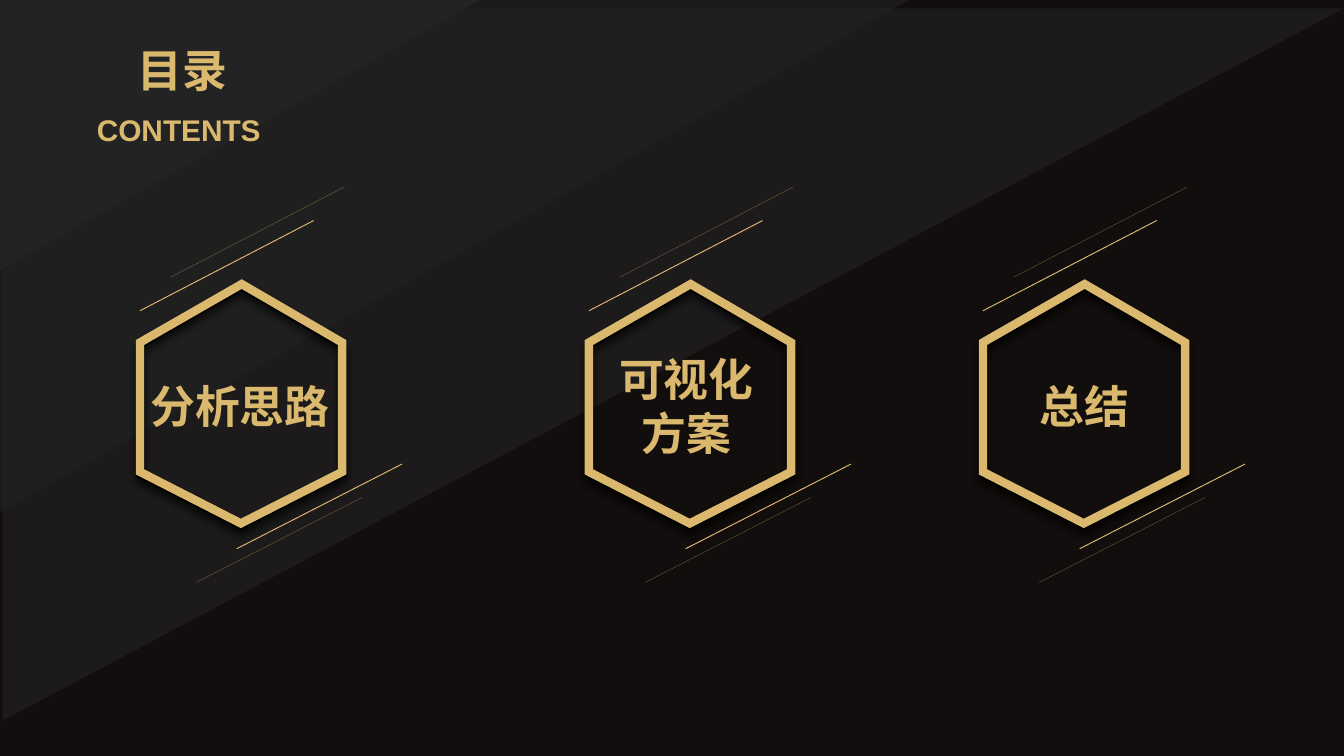
import pptx
import pptx.util
import pptx.dml.color
import pptx.enum.shapes
import pptx.enum.text
import pptx.oxml
import pptx.oxml.ns

Pt = pptx.util.Pt
RGB = pptx.dml.color.RGBColor
ALIGN = pptx.enum.text.PP_ALIGN
SHAPE = pptx.enum.shapes.MSO_SHAPE
LINK = pptx.enum.shapes.MSO_CONNECTOR

BLACK = RGB(0x12, 0x0E, 0x0D)
GREY = RGB(0x23, 0x23, 0x23)
GOLD = RGB(0xDA, 0xB9, 0x6E)
DARK = RGB(0x02, 0x03, 0x02)
HAN = "Noto Sans CJK SC"

HEX = [(54.5, 0), (108.3, 31.3), (108.3, 100.6), (54, 128.2), (0, 100.6), (0, 31.3)]
RAYS = [
    (0, 14.3, 93, -34, 0.5, 100),
    (16.5, -3.7, 109.4, -52, 0.25, 40),
    (51.8, 141.8, 140.4, 96.4, 0.5, 100),
    (30.2, 159.8, 118.8, 114.4, 0.25, 40),
]
ITEMS = [
    (75, ["分析思路"], -31.8, ALIGN.RIGHT),
    (315.5, ["可视化", "方案"], -18.1, ALIGN.CENTER),
    (526.6, ["总结"], -16, ALIGN.CENTER),
]


def add_xml(node, tag, attrs="", body=""):
    """Append one drawing element to a node."""
    space = pptx.oxml.ns.nsdecls("a")
    node.append(pptx.oxml.parse_xml(f"<a:{tag} {space} {attrs}>{body}</a:{tag}>"))


def fade(shape, share):
    """Set the opacity of a shape's first colour in percent."""
    if share < 100:
        tint = shape.element.xpath(".//p:spPr//a:srgbClr")[0]
        add_xml(tint, "alpha", f'val="{share * 1000}"')


def put_text(shape, box, lines, size, font, align):
    """Place a text shape and fill it with gold lines."""
    shape.left, shape.top, shape.width, shape.height = map(Pt, box)
    frame = shape.text_frame
    frame.word_wrap = True
    frame.auto_size = pptx.enum.text.MSO_AUTO_SIZE.NONE
    frame.vertical_anchor = pptx.enum.text.MSO_ANCHOR.MIDDLE
    for i, line in enumerate(lines):
        para = frame.add_paragraph() if i else frame.paragraphs[0]
        para.alignment = align
        run = para.add_run()
        run.text = line
        run.font.size = Pt(size)
        run.font.bold = True
        run.font.color.rgb = GOLD
        run.font.name = font
        add_xml(run.font._element, "ea", f'typeface="{font}"')


def add_wedge(slide, x, y, wide, high, share):
    """Draw a grey wedge with its right angle at the top left of the box."""
    left, top = x + (wide - high) / 2, y + (high - wide) / 2
    wedge = slide.shapes.add_shape(
        SHAPE.RIGHT_TRIANGLE, Pt(left), Pt(top), Pt(high), Pt(wide))
    wedge.rotation = 90
    wedge.shadow.inherit = False
    wedge.fill.solid()
    wedge.fill.fore_color.rgb = GREY
    wedge.line.fill.background()
    fade(wedge, share)


def add_hex(slide, x, y, color):
    """Draw a hexagon outline with a soft shadow."""
    spots = [(Pt(x + dx), Pt(y + dy)) for dx, dy in HEX]
    pen = slide.shapes.build_freeform(*spots[0], scale=1.0)
    pen.add_line_segments(spots[1:], close=True)
    ring = pen.convert_to_shape()
    ring.fill.background()
    ring.line.color.rgb = color
    ring.line.width = Pt(4.5)
    add_xml(ring.element.xpath(".//a:ln")[0], "miter", 'lim="800000"')
    ring.shadow.inherit = False
    add_xml(
        ring.element.xpath(".//a:effectLst")[0], "outerShdw",
        f'blurRad="{Pt(4)}" dist="{Pt(3)}" dir="5400000" algn="t" rotWithShape="0"',
        '<a:srgbClr val="000000"><a:alpha val="40000"/></a:srgbClr>')


def add_ray(slide, x, y, ray):
    """Draw one thin gold line beside a hexagon."""
    ax, ay, bx, by, width, share = ray
    line = slide.shapes.add_connector(
        LINK.STRAIGHT, Pt(x + ax), Pt(y + ay), Pt(x + bx), Pt(y + by))
    line.line.color.rgb = GOLD
    line.line.width = Pt(width)
    fade(line, share)
    add_xml(line.element.spPr, "effectLst")


def add_item(slide, x, y, lines, shift, align):
    """Draw one contents entry: hexagon, rays and label."""
    add_hex(slide, x, y + 1.2, DARK)
    add_hex(slide, x, y, GOLD)
    for ray in RAYS:
        add_ray(slide, x, y, ray)
    label = slide.shapes.add_textbox(0, 0, 0, 0)
    put_text(label, (x + shift, y + 32, 140.4, 66), lines, 24, HAN, align)


def add_head(slide, x, y):
    """Place the title and the line below it."""
    title = slide.shapes.title
    put_text(title, (x, y, 128.9, 36), ["目录"], 24, HAN, ALIGN.RIGHT)
    under = slide.shapes.add_textbox(0, 0, 0, 0)
    put_text(under, (x, y + 36.8, 191.6, 26.6), ["CONTENTS"], 16, "Arial", ALIGN.CENTER)


def main():
    """Build and save the contents slide."""
    deck = pptx.Presentation()
    deck.slide_width, deck.slide_height = Pt(720), Pt(405)
    slide = deck.slides.add_slide(deck.slide_layouts[5])
    slide.background.fill.solid()
    slide.background.fill.fore_color.rgb = BLACK
    add_wedge(slide, 1.4, 4.5, 718.6, 381.6, 60)
    add_wedge(slide, 0, 0, 486.7, 274.3, 60)
    add_wedge(slide, 0, 0, 257, 144.7, 100)
    tree = slide.shapes.title.element.getparent()
    tree.append(slide.shapes.title.element)
    add_head(slide, 0, 19.4)
    for x, lines, shift, align in ITEMS:
        add_item(slide, x, 152.2, lines, shift, align)
    deck.save("out.pptx")


if __name__ == "__main__":
    main()
